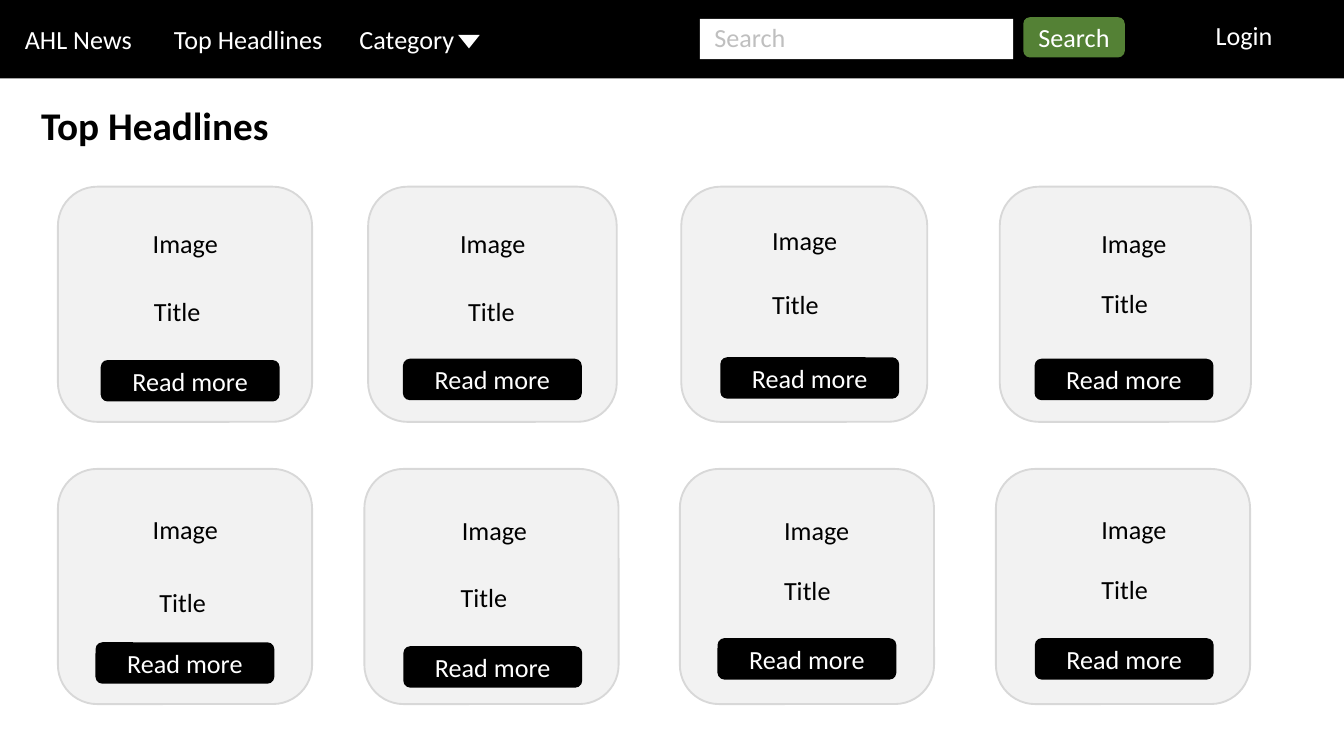
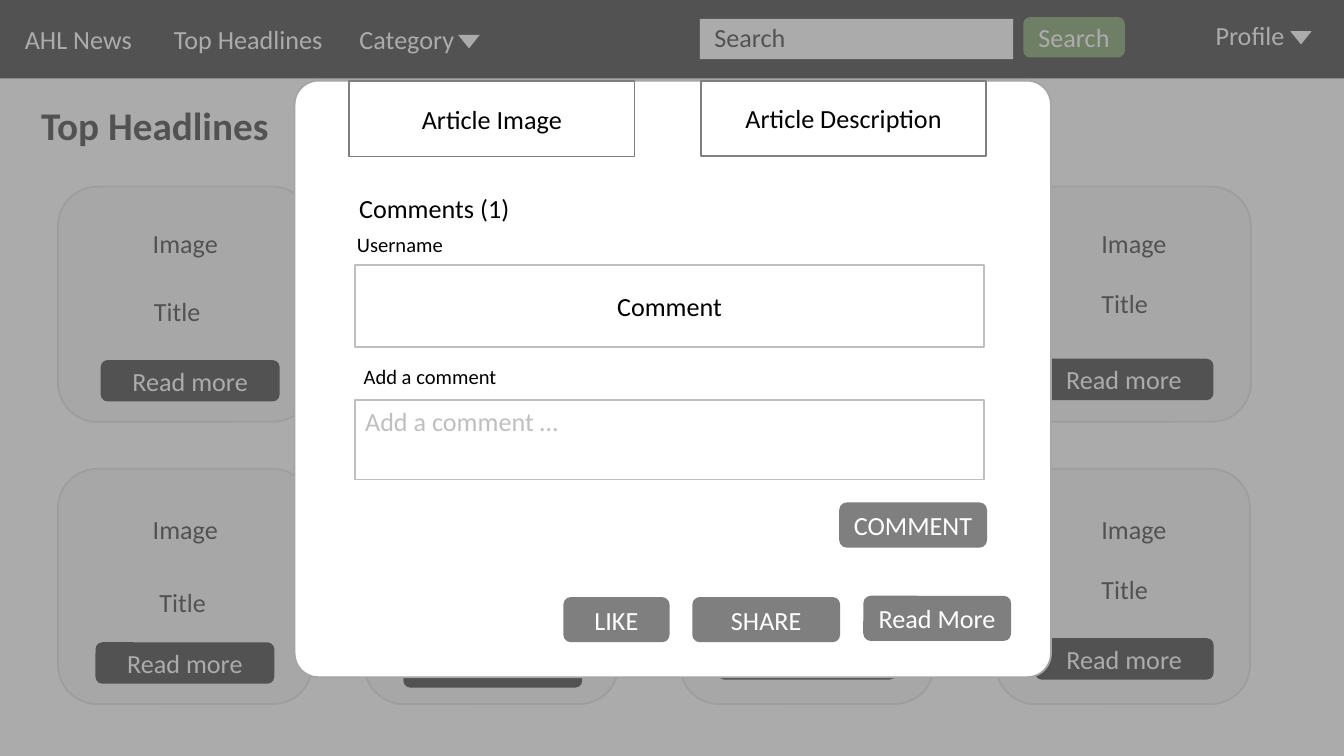
from lxml import etree
from pptx import Presentation
from pptx.dml.color import RGBColor
from pptx.enum.shapes import MSO_SHAPE
from pptx.enum.text import MSO_ANCHOR, MSO_AUTO_SIZE, PP_ALIGN
from pptx.oxml.ns import qn
from pptx.util import Pt

BLACK = RGBColor(0x00, 0x00, 0x00)
WHITE = RGBColor(0xFF, 0xFF, 0xFF)
GREEN = RGBColor(0x54, 0x81, 0x35)
CARD_FILL = RGBColor(0xF2, 0xF2, 0xF2)
CARD_LINE = RGBColor(0xD8, 0xD8, 0xD8)
HINT_GRAY = RGBColor(0xBF, 0xBF, 0xBF)
MODAL_LINE = RGBColor(0xA5, 0xA5, 0xA5)
MID_GRAY = RGBColor(0x7F, 0x7F, 0x7F)

RECT = MSO_SHAPE.RECTANGLE
ROUNDED = MSO_SHAPE.ROUNDED_RECTANGLE
TRIANGLE = MSO_SHAPE.ISOSCELES_TRIANGLE
LEFT, CENTER = PP_ALIGN.LEFT, PP_ALIGN.CENTER
TOP, MIDDLE = MSO_ANCHOR.TOP, MSO_ANCHOR.MIDDLE
GROW, FIXED = MSO_AUTO_SIZE.SHAPE_TO_FIT_TEXT, MSO_AUTO_SIZE.NONE

FONT = "Calibri"
PAGE = (0, 0, 720, 405)
NAV_BAR = (0, 0, 720, 42)
HEADING = (16.6, 51.8, 143.3, 31)
MODAL = (157.8, 43.2, 405.2, 319.6)
LINE_H = 21.6
CARD_H = 126
ROW_TOPS = (100, 251.2)

# Per row: card left, card width, then the offsets of image, title and button.
CARD_ROWS = (
    ((31, 136.2, (45.4, 19.4), (46, 55.4), (23, 92.9)),
     (197.2, 133.2, (43.9, 19.4), (48.2, 55.4), (18.7, 92.2)),
     (365, 131.8, (43.2, 17.3), (43.2, 51.8), (20.9, 91.4)),
     (535.6, 134.6, (49, 19.4), (49, 51.1), (18.7, 92.2))),
    ((31, 136.2, (45.4, 20.9), (49, 60.5), (20.2, 92.9)),
     (195.2, 136.2, (46.8, 21.6), (46.1, 57.6), (20.9, 95)),
     (364.2, 136.2, (50.4, 21.6), (50.4, 54), (20.2, 90.7)),
     (533.5, 136.2, (51.1, 20.9), (51.1, 53.3), (20.9, 90.7))),
)
COVERED_CARDS = {(0, 1), (0, 2)}
COVERED_TEXTS = {(1, 1), (1, 2)}


def within(box, left, top, width, height):
    """Turn a position relative to box into page lengths."""
    return Pt(box[0] + left), Pt(box[1] + top), Pt(width), Pt(height)


def write(shape, text, color, size=14, bold=False, align=LEFT, anchor=TOP, fit=FIXED):
    frame = shape.text_frame
    frame.text = text
    frame_format = {
        "word_wrap": True, "auto_size": fit, "vertical_anchor": anchor,
        "margin_left": Pt(5.4), "margin_right": Pt(5.4),
        "margin_top": Pt(2.7), "margin_bottom": Pt(2.7),
    }
    for name, value in frame_format.items():
        setattr(frame, name, value)
    paragraph = frame.paragraphs[0]
    paragraph.alignment = align
    font = paragraph.runs[0].font
    for name, value in {"name": FONT, "size": Pt(size), "bold": bold}.items():
        setattr(font, name, value)
    font.color.rgb = color


def add_label(slide, box, place, text, color=BLACK, size=14):
    label = slide.shapes.add_textbox(*within(box, *place))
    write(label, text, color, size, fit=GROW)


def add_panel(slide, box, place, fill, line=None, kind=RECT, corner=0.167):
    panel = slide.shapes.add_shape(kind, *within(box, *place))
    panel.shadow.inherit = False
    panel.fill.solid()
    panel.fill.fore_color.rgb = fill
    if line is None:
        panel.line.fill.background()
    else:
        panel.line.color.rgb = line
        panel.line.width = Pt(1)
    if kind == ROUNDED:
        panel.adjustments[0] = corner
    return panel


def add_button(slide, box, place, text, fill):
    button = add_panel(slide, box, place, fill, kind=ROUNDED)
    write(button, text, WHITE, align=CENTER, anchor=MIDDLE)


def add_dropdown_mark(slide, box, left, top):
    mark = add_panel(slide, box, (left, top, 11.5, 7.2), WHITE, kind=TRIANGLE)
    mark.rotation = 180


def add_nav_bar(slide, box, account, hint_color, account_menu):
    add_panel(slide, box, (0, 0, box[2], box[3]), BLACK)
    for left, width, text in ((7.9, 71.3, "AHL News"),
                              (87.8, 91.4, "Top Headlines"),
                              (187.2, 91.4, "Category")):
        add_label(slide, box, (left, 10.1, width, LINE_H), text, WHITE)
    add_dropdown_mark(slide, box, 245.5, 18.7)
    add_label(slide, box, (645.8, 7.6, 91.4, LINE_H), account, WHITE)
    if account_menu:
        add_dropdown_mark(slide, box, 691.2, 16.6)
    add_panel(slide, box, (375, 10.1, 167.8, LINE_H), WHITE)
    add_button(slide, box, (548.2, 9.2, 54.4, LINE_H), "Search", GREEN)
    add_label(slide, box, (377.3, 8.6, 53.3, LINE_H), "Search", hint_color)


def add_card(slide, box, image_at, title_at, button_at, with_texts):
    add_panel(slide, box, (0, 0, box[2], box[3]), CARD_FILL, CARD_LINE, ROUNDED)
    if with_texts:
        for offset, text in ((image_at, "Image"), (title_at, "Title")):
            add_label(slide, box, (*offset, 73.4, LINE_H), text)
    add_button(slide, box, (*button_at, 95.8, 22.2), "Read more", BLACK)


def add_headlines_page(deck, account, hint_color, account_menu=False,
                       hidden_cards=(), hidden_texts=()):
    slide = deck.slides.add_slide(deck.slide_layouts[5])
    heading = slide.shapes.title
    heading.left, heading.top, heading.width, heading.height = map(Pt, HEADING)
    write(heading, "Top Headlines", BLACK, 21, bold=True, fit=GROW)
    add_nav_bar(slide, NAV_BAR, account, hint_color, account_menu)
    for row, (top, cards) in enumerate(zip(ROW_TOPS, CARD_ROWS)):
        for column, (left, width, *offsets) in enumerate(cards):
            if (row, column) not in hidden_cards:
                add_card(slide, (left, top, width, CARD_H), *offsets,
                         with_texts=(row, column) not in hidden_texts)
    return slide


def add_dimmer(slide, box):
    """Cover the box with a see-through gray."""
    dimmer = add_panel(slide, box, (0, 0, box[2], box[3]), MID_GRAY)
    tint = dimmer.fill._xPr.find(qn("a:solidFill"))[0]
    etree.SubElement(tint, qn("a:alpha")).set("val", "65000")


def add_article_modal(slide, box):
    add_panel(slide, box, (0, 0, box[2], box[3]), WHITE, MODAL_LINE, ROUNDED, 0.04)

    for place, text, line in (
            ((29.4, 0, 152.8, 40.7), "Article Image", MID_GRAY),
            ((217.8, 0, 152.8, 40.3), "Article Description", MID_GRAY),
            ((32.4, 98.6, 337, 44), "Comment", HINT_GRAY)):
        field = add_panel(slide, box, place, WHITE, line)
        write(field, text, BLACK, align=CENTER, anchor=MIDDLE)

    comment_input = add_panel(slide, box, (32.4, 171.2, 337, 42.5), WHITE, HINT_GRAY)
    write(comment_input, "Add a comment …", HINT_GRAY)

    for left, top, height, text, size in (
            (29.2, 57, LINE_H, "Comments (1)", 14),
            (28, 78.5, 18, "Username", 11),
            (31.6, 149.2, 18, "Add a comment", 11)):
        add_label(slide, box, (left, top, 103.7, height), text, size=size)

    for left, top, width, text in ((144, 276.7, 56.9, "LIKE"),
                                   (213.1, 276.7, 79.2, "SHARE"),
                                   (304.7, 276, 79.2, "Read More"),
                                   (291.8, 226, 79.2, "COMMENT")):
        add_button(slide, box, (left, top, width, 24.2), text, MID_GRAY)


def main():
    deck = Presentation()
    deck.slide_width, deck.slide_height = Pt(PAGE[2]), Pt(PAGE[3])
    add_headlines_page(deck, "Login", HINT_GRAY)
    article_page = add_headlines_page(deck, "Profile", BLACK, True,
                                      COVERED_CARDS, COVERED_TEXTS)
    add_dimmer(article_page, PAGE)
    add_article_modal(article_page, MODAL)
    deck.save("out.pptx")


if __name__ == "__main__":
    main()
